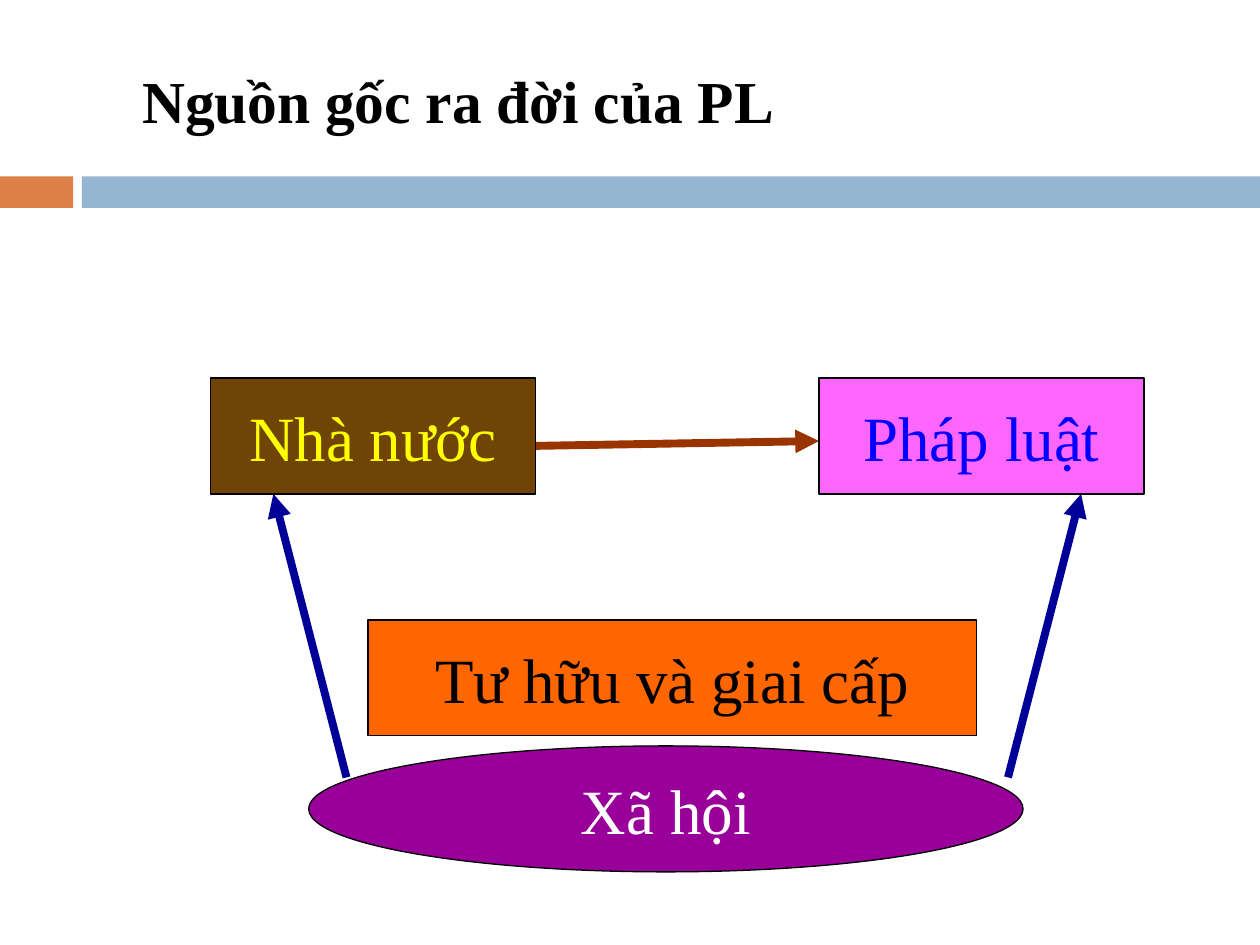
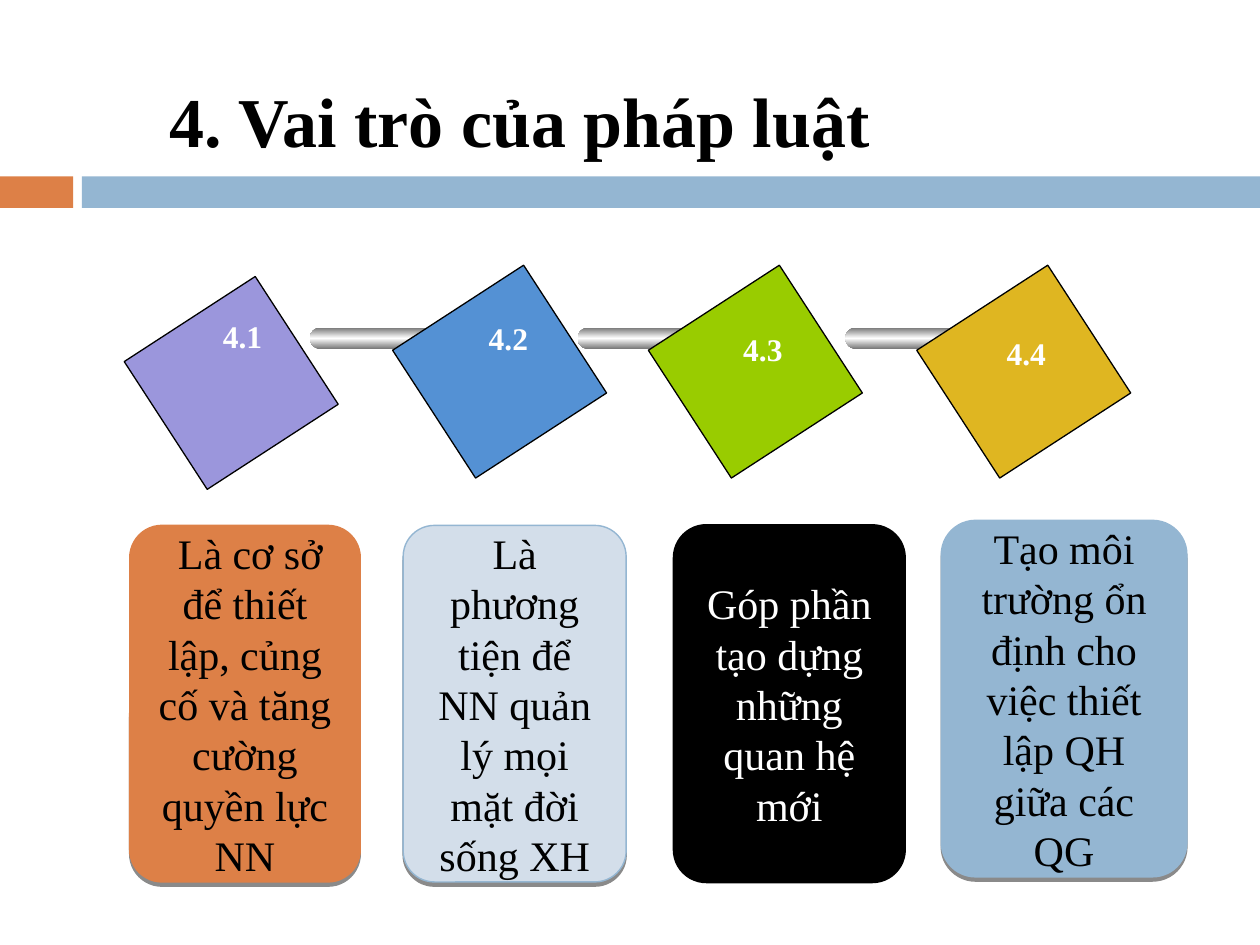
from copy import deepcopy

from lxml import etree
from pptx import Presentation
from pptx.dml.color import RGBColor
from pptx.enum import shapes, text
from pptx.oxml.ns import qn
from pptx.util import Inches, Pt

FONT = "Times New Roman"
COLORS = {
    "black": "000000", "white": "FFFFFF", "orange": "DD8047", "blue": "94B6D2",
    "pale": "D3DEEA", "purple": "990099", "navy": "000099", "rust": "993300",
    "bright_orange": "FF6600", "brown": "704404", "pink": "FF66FF",
    "yellow": "FFFF00", "pure_blue": "0000FF", "lilac": "9B96DC",
    "mid_blue": "5491D4", "green": "99CC00", "gold": "DFB621", "steel": "767676",
}
KIND = shapes.MSO_SHAPE


def color(name):
    return RGBColor.from_string(COLORS[name])


def write(frame, words, size, ink, bold=False, centred=True):
    frame.word_wrap = True
    frame.text = words
    paragraph = frame.paragraphs[0]
    paragraph.alignment = text.PP_ALIGN.CENTER if centred else text.PP_ALIGN.LEFT
    for run in paragraph.runs:
        run.font.name, run.font.size, run.font.bold = FONT, Pt(size), bold
        run.font.color.rgb = color(ink)
    return paragraph


def add_box(slide, kind, box, fill=None, line=None, width=0.75):
    box_shape = slide.shapes.add_shape(kind, *map(Inches, box))
    box_shape.shadow.inherit = False
    if fill:
        box_shape.fill.solid()
        box_shape.fill.fore_color.rgb = color(fill)
    if line:
        box_shape.line.color.rgb = color(line)
        box_shape.line.width = Pt(width)
    else:
        box_shape.line.fill.background()
    return box_shape


def add_label(slide, box, words, size):
    label = slide.shapes.add_textbox(*map(Inches, box))
    write(label.text_frame, words, size, "white", bold=True, centred=False)


def add_header(slide, box, title, size, line_spacing=1.0):
    # Two-colour band under the title
    add_box(slide, KIND.RECTANGLE, (0, 1.4, 0.58, 0.25), "orange")
    add_box(slide, KIND.RECTANGLE, (0.65, 1.4, 9.35, 0.25), "blue")
    # Title
    heading = slide.shapes.add_textbox(*map(Inches, box)).text_frame
    heading.vertical_anchor = text.MSO_ANCHOR.MIDDLE
    paragraph = write(heading, title, size, "black", bold=True, centred=False)
    paragraph.line_spacing = line_spacing


def add_arrow(slide, start, end, ink):
    arrow = slide.shapes.add_connector(
        shapes.MSO_CONNECTOR.STRAIGHT, *map(Inches, start + end))
    arrow.line.color.rgb = color(ink)
    arrow.line.width = Pt(4.5)
    etree.SubElement(arrow.line._get_or_add_ln(), qn("a:tailEnd"), type="triangle")
    etree.SubElement(arrow._element.spPr, qn("a:effectLst"))


def add_origin_diagram(slide, left, top):
    arrows = [
        ((1.08, 3.17), (0.5, 0.92), "navy"),
        ((2.52, 0.54), (4.83, 0.5), "rust"),
        ((6.33, 3.17), (6.91, 0.92), "navy"),
    ]
    nodes = [
        ("Xã hội", KIND.OVAL, (0.78, 2.92, 5.67, 1), "purple", "white"),
        ("Tư hữu và giai cấp", KIND.RECTANGLE, (1.25, 1.92, 4.83, 0.92),
         "bright_orange", "black"),
        ("Nhà nước", KIND.RECTANGLE, (0, 0, 2.58, 0.92), "brown", "yellow"),
        ("Pháp luật", KIND.RECTANGLE, (4.83, 0, 2.58, 0.92), "pink", "pure_blue"),
    ]
    for (x1, y1), (x2, y2), ink in arrows:
        add_arrow(slide, (left + x1, top + y1), (left + x2, top + y2), ink)
    for words, kind, (x, y, width, height), fill, ink in nodes:
        node = add_box(slide, kind, (left + x, top + y, width, height), fill, "black")
        write(node.text_frame, words, 36, ink)


def add_rod(slide, left, top):
    rod = add_box(slide, KIND.ROUNDED_RECTANGLE, (left, top, 1.07, 0.17))
    rod.adjustments[0] = 0.5
    rod.fill.gradient()
    rod.fill.gradient_angle = 90
    for stop in rod.fill.gradient_stops:
        stop.color.rgb = color("steel")
    # Bright middle stop
    first = rod._element.spPr.find(".//" + qn("a:gs"))
    first.addnext(deepcopy(first))
    middle = rod.fill.gradient_stops[1]
    middle.position = 0.5
    middle.color.rgb = color("white")


def add_number_chain(slide, left, top):
    # Tile offset, label offset, fill
    tiles = [
        ((0, 0.09), (0.44, 0.14), "lilac"),
        ((2.13, 0), (2.55, 0.15), "mid_blue"),
        ((4.16, 0), (4.57, 0.24), "green"),
        ((6.29, 0), (6.66, 0.27), "gold"),
    ]
    for number, ((x, y), (label_x, label_y), fill) in enumerate(tiles, 1):
        if number > 1:
            add_rod(slide, left + 1.23 + 2.125 * (number - 2), top + 0.27)
        tile = add_box(slide, KIND.RECTANGLE, (left + x, top + y, 1.21, 1.24),
                       fill, "black")
        tile.rotation = 57
        add_label(slide, (left + label_x, top + label_y, 0.85, 0.4),
                  f"4.{number}", 18)


def add_drop_shadow(card):
    effects = card._element.spPr.find(qn("a:effectLst"))
    shadow = etree.SubElement(effects, qn("a:outerShdw"), dist=str(Pt(2.4)),
                              dir="5400000", rotWithShape="0")
    tint = etree.SubElement(shadow, qn("a:srgbClr"), val=COLORS["black"])
    etree.SubElement(tint, qn("a:alpha"), val="45000")


def add_role_cards(slide, left, top):
    cards = [
        (" Là cơ sở để thiết lập, củng cố và tăng cường quyền lực NN",
         0, 0.04, 1.83, "orange", "orange", "black"),
        ("Là phương tiện để NN quản lý mọi mặt đời sống XH",
         2.17, 0.04, 1.77, "pale", "blue", "black"),
        ("Góp phần tạo dựng những quan hệ mới",
         4.32, 0.04, 1.83, "black", "black", "white"),
        ("Tạo môi trường ổn định cho việc thiết lập QH giữa các QG",
         6.44, 0, 1.95, "blue", "blue", "black"),
    ]
    for words, x, y, width, fill, line, ink in cards:
        dark = fill == "black"
        card = add_box(slide, KIND.ROUNDED_RECTANGLE,
                       (left + x, top + y, width, 2.83), fill, line,
                       1.5 if dark else 0.79)
        card.adjustments[0] = 0.14
        if not dark:
            add_drop_shadow(card)
        write(card.text_frame, words, 24, ink)


def main():
    deck = Presentation()
    deck.slide_width, deck.slide_height = Inches(10), Inches(7.5)
    blank = deck.slide_layouts[6]

    origin = deck.slides.add_slide(blank)
    add_header(origin, (1.03, 0.17, 8.26, 1.25), "Nguồn gốc ra đời của PL", 34)
    add_origin_diagram(origin, 1.67, 3)

    roles = deck.slides.add_slide(blank)
    add_header(roles, (1.25, 0.35, 8.58, 1.11), "4. Vai trò của pháp luật", 40, 1.14)
    add_number_chain(roles, 1.23, 2.33)
    add_role_cards(roles, 1.03, 4.13)

    deck.save("out.pptx")


if __name__ == "__main__":
    main()
